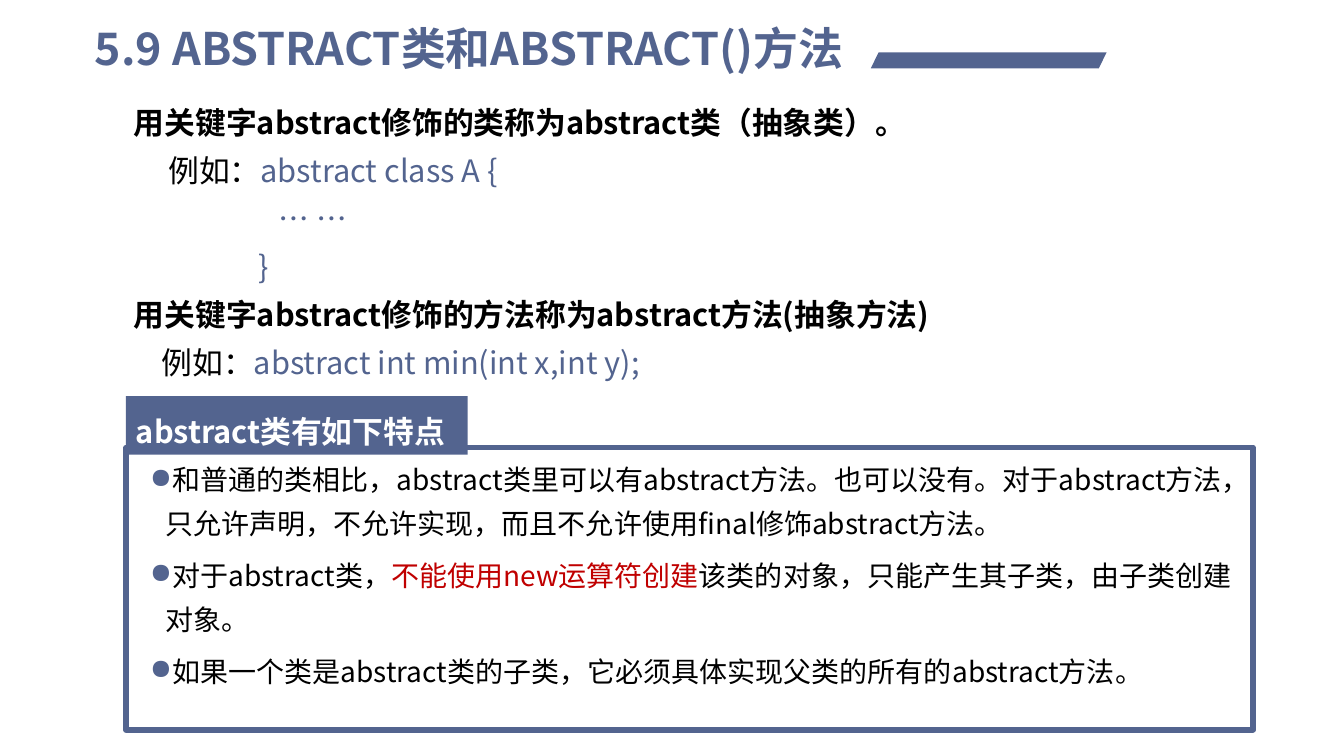
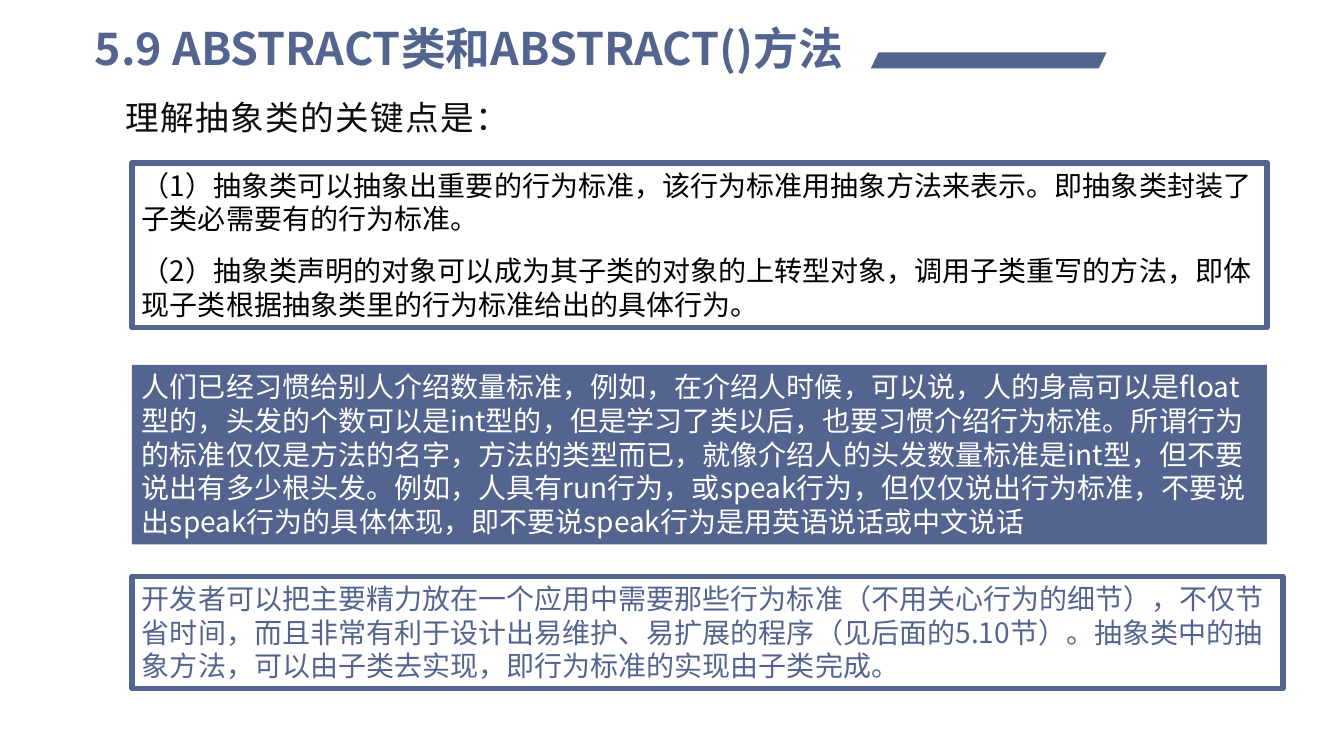
import dataclasses
import pptx
import pptx.util
import pptx.dml.color
import pptx.enum.shapes
import pptx.enum.text
import pptx.oxml.ns
import lxml.etree

Pt = pptx.util.Pt
qn = pptx.oxml.ns.qn
Shape = pptx.enum.shapes.MSO_SHAPE


@dataclasses.dataclass(frozen=True)
class Theme:
    face: str = "Noto Sans CJK SC"
    blue: str = "53648F"
    black: str = "000000"
    gray: str = "0D0D0D"
    red: str = "C00000"
    white: str = "FFFFFF"
    title: int = 32
    intro: int = 24
    lead: int = 22
    body: int = 20
    edge: int = 4
    loose: float = 1.3
    tight: float = 0.8


T = Theme()


def rgb(code):
    return pptx.dml.color.RGBColor.from_string(code)


def style(para, size, color, bold=False):
    para.alignment = pptx.enum.text.PP_ALIGN.LEFT
    font = para.font
    font.size = Pt(size)
    font.bold = bold
    font.name = T.face
    font.color.rgb = rgb(color)
    props = para._p.get_or_add_pPr().find(qn("a:defRPr"))
    lxml.etree.SubElement(props, qn("a:ea")).set("typeface", T.face)
    return props


def write(para, parts):
    for part in parts:
        text, color = part if isinstance(part, tuple) else (part, None)
        run = para.add_run()
        run.text = text
        if color:
            run.font.color.rgb = rgb(color)


def indent(para, left, first=0):
    props = para._p.get_or_add_pPr()
    props.set("marL", str(Pt(left)))
    props.set("indent", str(Pt(first)))
    return props


def bullet(para):
    props = indent(para, 21, -11)
    mark = lxml.etree.Element(qn("a:buClr"))
    lxml.etree.SubElement(mark, qn("a:srgbClr")).set("val", T.blue)
    sign = lxml.etree.Element(qn("a:buChar"))
    sign.set("char", "●")
    spot = props.index(props.find(qn("a:defRPr")))
    props.insert(spot, mark)
    props.insert(spot + 1, sign)


def setup(shape):
    frame = shape.text_frame
    frame.word_wrap = True
    frame.auto_size = pptx.enum.text.MSO_AUTO_SIZE.NONE
    frame.vertical_anchor = pptx.enum.text.MSO_ANCHOR.TOP
    return frame


def paras(frame, count):
    return [frame.paragraphs[0]] + [frame.add_paragraph() for _ in range(count - 1)]


def label(slide, box):
    return setup(slide.shapes.add_textbox(*map(Pt, box)))


def panel(slide, box, fill=None, kind=Shape.RECTANGLE):
    shape = slide.shapes.add_shape(kind, *map(Pt, box))
    shape.element.remove(shape.element.find(qn("p:style")))
    shape.shadow.inherit = False
    if fill:
        shape.fill.solid()
        shape.fill.fore_color.rgb = rgb(fill)
        shape.line.fill.background()
    else:
        shape.fill.background()
        shape.line.color.rgb = rgb(T.blue)
        shape.line.width = Pt(T.edge)
    return shape


def start(deck):
    slide = deck.slides.add_slide(deck.slide_layouts[5])
    title = slide.shapes.title
    title.left, title.top, title.width, title.height = map(Pt, (60.5, 11.5, 595.4, 46))
    para = setup(title).paragraphs[0]
    style(para, T.title, T.blue, True)
    write(para, ["5.9 ABSTRACT类和ABSTRACT()方法"])
    bar = panel(slide, (622, 37.4, 168.5, 11.5), T.blue, Shape.PARALLELOGRAM)
    bar.adjustments[0] = 0.49
    return slide


def terms(slide):
    lines = [
        (0, ["用关键字abstract修饰的类称为abstract类（抽象类）。"], T.black, True),
        (24.6, [("例如：", T.black), "abstract class A {"], T.blue, False),
        (103.5, ["… …"], T.blue, False),
        (88.7, ["}"], T.blue, False),
        (0, ["用关键字abstract修饰的方法称为abstract方法(抽象方法)"], T.black, True),
        (19.7, [("例如：", T.black), "abstract int min(int x,int y);"], T.blue, False),
    ]
    frame = label(slide, (88.6, 62.6, 725.8, 215.3))
    for para, (left, parts, color, bold) in zip(paras(frame, len(lines)), lines):
        style(para, T.lead, color, bold)
        para.line_spacing = T.loose
        indent(para, left)
        write(para, parts)


def traits(slide):
    items = [
        ["和普通的类相比，abstract类里可以有abstract方法。也可以没有。对于abstract方法，"
         "只允许声明，不允许实现，而且不允许使用final修饰abstract方法。"],
        ["对于abstract类，", ("不能使用new运算符创建", T.red),
         "该类的对象，只能产生其子类，由子类创建对象。"],
        ["如果一个类是abstract类的子类，它必须具体实现父类的所有的abstract方法。"],
    ]
    frame = setup(panel(slide, (90, 319.7, 805, 201.6)))
    for para, parts in zip(paras(frame, len(items)), items):
        style(para, T.body, T.black)
        para.line_spacing = T.loose
        para.space_before, para.space_after = Pt(2), Pt(4)
        bullet(para)
        write(para, parts)
    para = setup(panel(slide, (90, 283, 244, 41.8), T.blue)).paragraphs[0]
    style(para, T.lead, T.white, True)
    para.line_spacing = T.loose
    write(para, ["abstract类有如下特点"])


def intro(slide):
    para = label(slide, (82.8, 71.3, 280, 30.2)).paragraphs[0]
    style(para, T.intro, T.gray).set("spc", "100")
    para.line_spacing = T.tight
    write(para, ["理解抽象类的关键点是："])


def points(slide):
    blocks = [
        (116.6, 810.7, 117.4, None, T.black, [
            "（1）抽象类可以抽象出重要的行为标准，该行为标准用抽象方法来表示。"
            "即抽象类封装了子类必需要有的行为标准。",
            "（2）抽象类声明的对象可以成为其子类的对象的上转型对象，调用子类重写的方法，"
            "即体现子类根据抽象类里的行为标准给出的具体行为。"]),
        (260.6, 810.7, 128.2, T.blue, T.white, [
            "人们已经习惯给别人介绍数量标准，例如，在介绍人时候，可以说，人的身高可以是float型的，"
            "头发的个数可以是int型的，但是学习了类以后，也要习惯介绍行为标准。"
            "所谓行为的标准仅仅是方法的名字，方法的类型而已，就像介绍人的头发数量标准是int型，"
            "但不要说出有多少根头发。例如，人具有run行为，或speak行为，但仅仅说出行为标准，"
            "不要说出speak行为的具体体现，即不要说speak行为是用英语说话或中文说话"]),
        (411.8, 822.2, 79.9, None, T.blue, [
            "开发者可以把主要精力放在一个应用中需要那些行为标准（不用关心行为的细节），"
            "不仅节省时间，而且非常有利于设计出易维护、易扩展的程序（见后面的5.10节）。"
            "抽象类中的抽象方法，可以由子类去实现，即行为标准的实现由子类完成。"]),
    ]
    for top, width, height, fill, color, texts in blocks:
        frame = setup(panel(slide, (94.3, top, width, height), fill))
        for rank, (para, text) in enumerate(zip(paras(frame, len(texts)), texts)):
            style(para, T.body, color)
            para.space_before = Pt(13 if rank else 0)
            write(para, [text])


def main():
    deck = pptx.Presentation()
    deck.slide_width, deck.slide_height = Pt(960), Pt(540)
    first = start(deck)
    terms(first)
    traits(first)
    second = start(deck)
    intro(second)
    points(second)
    deck.save("out.pptx")


if __name__ == "__main__":
    main()
